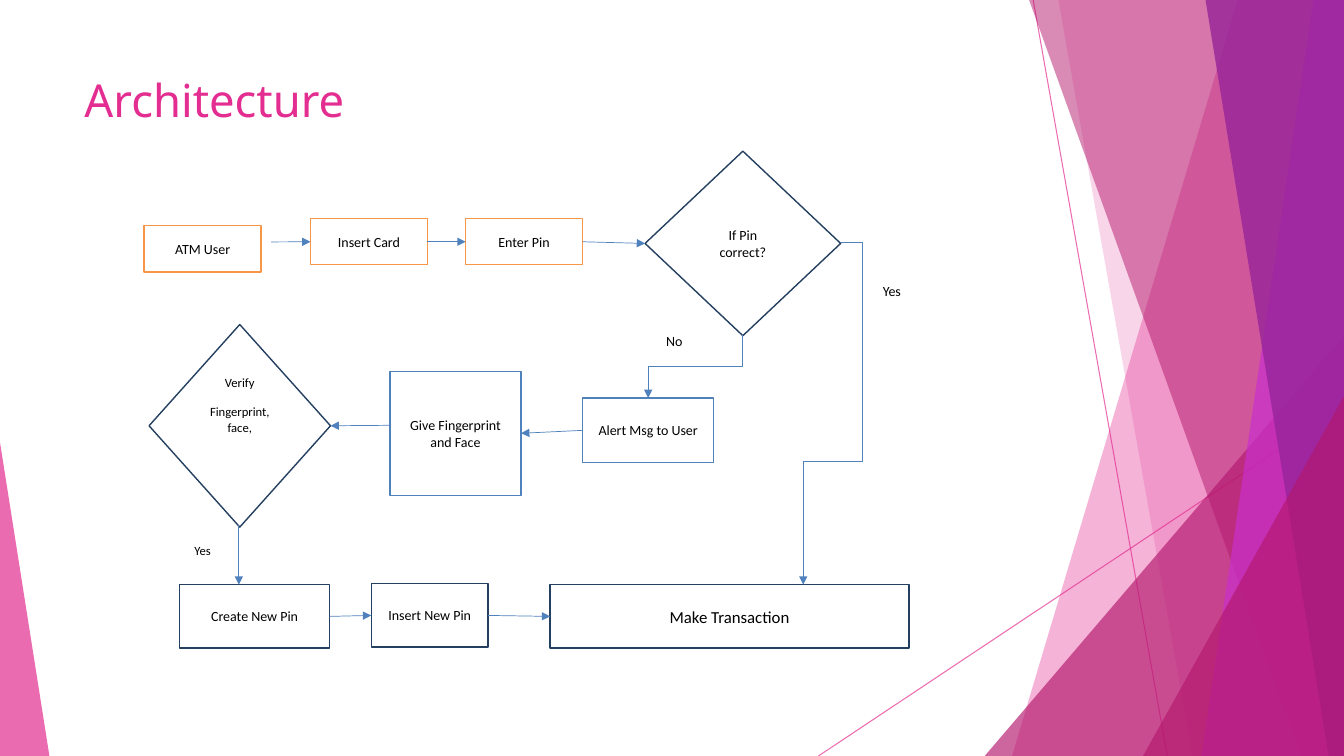
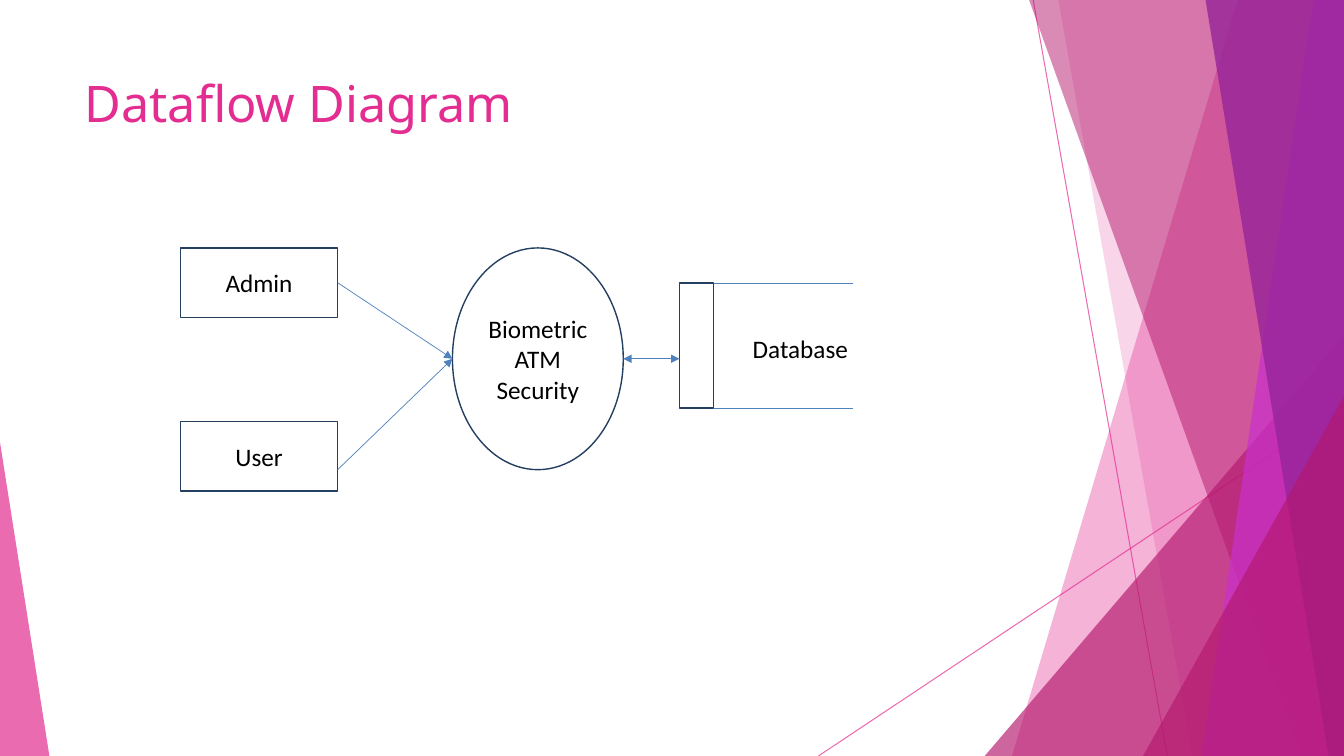
from dataclasses import dataclass
from typing import NamedTuple, Optional, Union

from lxml import etree
from pptx import Presentation
from pptx import slide as sl
from pptx import util as u
from pptx.dml import color as c
from pptx.enum import shapes, text
from pptx.oxml import ns
from pptx.shapes import base, connector as cx

KIND = shapes.MSO_SHAPE
WIDTH, HEIGHT = 960, 540
TOP, LEFT, BOTTOM, RIGHT = range(4)


@dataclass(frozen=True)
class Theme:
    pink: str = "E32D91"
    berry: str = "B4186E"
    orchid: str = "C830CC"
    purple: str = "962499"
    navy: str = "243F60"
    blue: str = "4F81BD"
    orange: str = "F79646"
    white: str = "FFFFFF"
    black: str = "000000"
    title_font: str = "Noto Sans"
    body_font: str = "Calibri"
    title_size: float = 36
    small_title_size: float = 32.4
    large: float = 18
    medium: float = 12
    normal: float = 10
    small: float = 9
    outline: float = 1
    arrow: float = 0.5
    hairline: float = 0.75
    space_after: float = 10


THEME = Theme()


class Point(NamedTuple):
    x: float
    y: float


class Port(NamedTuple):
    """The middle of one side of a named node."""
    node: str
    side: int


End = Union[Point, Port]


class Box(NamedTuple):
    left: float
    top: float
    width: float
    height: float


class Facet(NamedTuple):
    """A band from the top edge to the bottom edge, filled to the right edge."""
    top_x: float
    bottom_x: float
    color: str
    opacity: int


class Corner(NamedTuple):
    """A right-angled triangle standing on the bottom edge."""
    left: float
    top: float
    width: float
    apex: int
    color: str
    opacity: int


@dataclass(frozen=True)
class Node:
    label: str
    box: Box
    line: str = THEME.navy
    kind: KIND = KIND.RECTANGLE
    size: float = THEME.normal
    filled: bool = False
    anchor: text.MSO_ANCHOR = text.MSO_ANCHOR.MIDDLE


class Label(NamedTuple):
    label: str
    box: Box
    size: float = THEME.normal


class Link(NamedTuple):
    begin: End
    end: End
    heads: tuple[str, ...] = ("tailEnd",)


DECORATION = (
    Facet(884.2, 722.9, THEME.pink, 36),
    Facet(756, 851.8, THEME.pink, 20),
    Corner(703.4, 239.8, 256.6, 1, THEME.berry, 66),
    Facet(735.1, 929.5, THEME.berry, 50),
    Facet(938.2, 858.2, THEME.orchid, 70),
    Facet(861.1, 949, THEME.purple, 80),
    Corner(816.5, 283, 143.5, 1, THEME.berry, 66),
    Corner(0, 316, 35.3, 0, THEME.pink, 70),
)
RAYS = (
    Link(Point(738, 0), Point(833.8, HEIGHT), ()),
    Link(Point(WIDTH, 290.2), Point(584.6, HEIGHT), ()),
)

ARCHITECTURE_NODES = (
    Node("If Pin correct?", Box(460.8, 108, 139.7, 131.8), kind=KIND.DIAMOND, filled=True),
    Node("ATM User", Box(103, 161.3, 83.5, 33), THEME.orange, filled=True),
    Node("Insert Card", Box(221.8, 156.2, 83.5, 33), THEME.orange, filled=True),
    Node("Enter Pin", Box(332.6, 156.2, 83.5, 33), THEME.orange, filled=True),
    Node("Alert Msg to User", Box(416.2, 284.4, 93.6, 46), THEME.blue),
    Node("Give Fingerprint and Face", Box(278.6, 265.2, 93.6, 88.6), THEME.blue),
    Node("Verify\nFingerprint, face,", Box(106.5, 231.8, 129.6, 144.7), kind=KIND.DIAMOND,
         size=THEME.small, filled=True, anchor=text.MSO_ANCHOR.TOP),
    Node("Make Transaction", Box(393, 417.6, 256.3, 45.4), size=THEME.medium),
    Node("Create New Pin", Box(128.2, 417.6, 107.3, 45.4)),
    Node("Insert New Pin", Box(265.2, 416.9, 83.5, 45.4)),
)
ARCHITECTURE_LINKS = (
    Link(Point(193.7, 172.8), Port("Insert Card", LEFT)),
    Link(Port("Insert Card", RIGHT), Port("Enter Pin", LEFT)),
    Link(Port("Enter Pin", RIGHT), Port("If Pin correct?", LEFT)),
    Link(Port("Alert Msg to User", LEFT), Port("Give Fingerprint and Face", RIGHT)),
    Link(Point(278.6, 303.8), Port("Verify\nFingerprint, face,", RIGHT)),
    Link(Point(170.6, 375.1), Point(170.6, 417.6)),
    Link(Port("Create New Pin", RIGHT), Port("Insert New Pin", LEFT)),
    Link(Port("Insert New Pin", RIGHT), Port("Make Transaction", LEFT)),
)
ARCHITECTURE_LABELS = (
    Label("Yes", Box(623.5, 198, 41, 31.7)),
    Label("Yes", Box(131.8, 384.5, 41, 31.7), THEME.small),
    Label("No", Box(468.7, 234, 41, 31.7)),
)

DATAFLOW_NODES = (
    Node("Admin", Box(128.9, 177.1, 112.3, 49.7), size=THEME.large, filled=True),
    Node("User", Box(128.9, 301, 112.3, 49.7), size=THEME.large, filled=True),
    Node("Biometric ATM Security", Box(323.2, 177.1, 122, 158.4), kind=KIND.OVAL,
         size=THEME.large),
    Node("", Box(485.3, 202.3, 24.5, 89.3)),
)
DATAFLOW_LINKS = (
    Link(Port("Admin", RIGHT), Point(323.2, 256.3)),
    Link(Point(241.2, 335.5), Point(323.2, 256.3)),
    Link(Point(509.8, 202.3), Point(609.1, 202.3), ()),
    Link(Point(509.8, 291.6), Point(609.1, 291.6), ()),
    Link(Point(445.2, 256.3), Point(485.3, 256.3), ("headEnd", "tailEnd")),
)
DATAFLOW_LABELS = (Label("Database", Box(530.6, 234.7, 85.7, 38.9), THEME.large),)


def points(values: tuple[float, ...]) -> list[u.Length]:
    return [u.Pt(value) for value in values]


def rgb(color: str) -> c.RGBColor:
    return c.RGBColor.from_string(color)


def set_opacity(shape: base.BaseShape, percent: int) -> None:
    for color in shape._element.spPr.iter(ns.qn("a:srgbClr")):
        etree.SubElement(color, ns.qn("a:alpha"), val=str(percent * 1000))


def write(shape: base.BaseShape, content: str, size: float, color: str = THEME.black,
          font: str = THEME.body_font, align: text.PP_ALIGN = text.PP_ALIGN.LEFT) -> None:
    frame = shape.text_frame
    frame.word_wrap = True
    frame.text = content
    for paragraph in frame.paragraphs:
        paragraph.alignment = align
        paragraph.space_after = u.Pt(THEME.space_after)
        for run in paragraph.runs:
            run.font.size = u.Pt(size)
            run.font.name = font
            run.font.color.rgb = rgb(color)


def draw_label(slide: sl.Slide, label: Label) -> None:
    write(slide.shapes.add_textbox(*points(label.box)), label.label, label.size)


def draw_node(slide: sl.Slide, node: Node) -> base.BaseShape:
    shape = slide.shapes.add_shape(node.kind, *points(node.box))
    shape.shadow.inherit = False
    if node.filled:
        shape.fill.solid()
        shape.fill.fore_color.rgb = rgb(THEME.white)
    else:
        shape.fill.background()
    shape.line.color.rgb = rgb(node.line)
    shape.line.width = u.Pt(THEME.outline)
    if node.label:
        write(shape, node.label, node.size, align=text.PP_ALIGN.CENTER)
        shape.text_frame.vertical_anchor = node.anchor
        if node.anchor == text.MSO_ANCHOR.TOP:
            shape.text_frame.margin_top = 0
    return shape


def style_line(connector: cx.Connector, color: str, width: float,
               heads: tuple[str, ...]) -> None:
    connector.line.color.rgb = rgb(color)
    connector.line.width = u.Pt(width)
    line = connector._element.spPr.find(ns.qn("a:ln"))
    for head in heads:
        etree.SubElement(line, ns.qn(f"a:{head}"), type="triangle")
    etree.SubElement(connector._element.spPr, ns.qn("a:effectLst"))


def draw_link(slide: sl.Slide, link: Link, nodes: Optional[dict[str, base.BaseShape]] = None,
              color: str = THEME.blue, width: float = THEME.arrow) -> cx.Connector:
    ends = [end if isinstance(end, Point) else Point(0, 0) for end in (link.begin, link.end)]
    connector = slide.shapes.add_connector(
        shapes.MSO_CONNECTOR.STRAIGHT, *points(ends[0] + ends[1]))
    if isinstance(link.begin, Port):
        connector.begin_connect(nodes[link.begin.node], link.begin.side)
    if isinstance(link.end, Port):
        connector.end_connect(nodes[link.end.node], link.end.side)
    style_line(connector, color, width, link.heads)
    return connector


def draw_elbow(slide: sl.Slide, begin: Point, end: Point, quarter_turn: bool = False,
               preset: str = "bentConnector3", bends: tuple[float, ...] = (0.5,)) -> None:
    """Draw a bent arrow; a quarter turn makes it leave downwards and go left."""
    if quarter_turn:
        across, down = begin.x - end.x, end.y - begin.y
        middle = Point((begin.x + end.x) / 2, (begin.y + end.y) / 2)
        begin = Point(middle.x - down / 2, middle.y - across / 2)
        end = Point(begin.x + down, begin.y + across)
    connector = slide.shapes.add_connector(shapes.MSO_CONNECTOR.ELBOW, *points(begin + end))
    connector.rotation = 90 if quarter_turn else 0
    geometry = connector._element.spPr.find(ns.qn("a:prstGeom"))
    geometry.set("prst", preset)
    guides = geometry.find(ns.qn("a:avLst"))
    for number, bend in enumerate(bends, 1):
        etree.SubElement(guides, ns.qn("a:gd"), name=f"adj{number}",
                         fmla=f"val {round(bend * 100000)}")
    style_line(connector, THEME.blue, THEME.arrow, ("tailEnd",))


def draw_decoration(slide: sl.Slide) -> None:
    for ray in RAYS:
        set_opacity(draw_link(slide, ray, color=THEME.pink, width=THEME.hairline), 70)
    for part in DECORATION:
        if isinstance(part, Facet):
            builder = slide.shapes.build_freeform(u.Pt(part.top_x), 0)
            corners = ((WIDTH, 0), (WIDTH, HEIGHT), (part.bottom_x, HEIGHT))
            builder.add_line_segments([points(corner) for corner in corners])
            shape = builder.convert_to_shape()
        else:
            shape = slide.shapes.add_shape(KIND.ISOSCELES_TRIANGLE, *points(
                (part.left, part.top, part.width, HEIGHT - part.top)))
            shape.adjustments[0] = part.apex
        shape.shadow.inherit = False
        shape.fill.solid()
        shape.fill.fore_color.rgb = rgb(part.color)
        shape.line.fill.background()
        set_opacity(shape, part.opacity)


def add_diagram(presentation, title: str, title_size: float, title_height: float,
                nodes: tuple[Node, ...], links: tuple[Link, ...],
                labels: tuple[Label, ...]) -> sl.Slide:
    slide = presentation.slides.add_slide(presentation.slide_layouts[6])
    draw_decoration(slide)
    heading = slide.shapes.add_textbox(*points((53.3, 48.2, 676.8, title_height)))
    write(heading, title, title_size, THEME.pink, THEME.title_font)
    drawn = {node.label: draw_node(slide, node) for node in nodes}
    for link in links:
        draw_link(slide, link, drawn)
    for label in labels:
        draw_label(slide, label)
    return slide


def main() -> None:
    presentation = Presentation()
    presentation.slide_width, presentation.slide_height = points((WIDTH, HEIGHT))
    architecture = add_diagram(presentation, "Architecture", THEME.small_title_size, 49.7,
                               ARCHITECTURE_NODES, ARCHITECTURE_LINKS, ARCHITECTURE_LABELS)
    draw_elbow(architecture, Point(600.5, 172.8), Point(573.8, 417.6),
               preset="bentConnector4", bends=(-0.57, 0.64))
    draw_elbow(architecture, Point(530.6, 239), Point(463, 284.4), quarter_turn=True)
    add_diagram(presentation, "Dataflow Diagram", THEME.title_size, 69.1,
                DATAFLOW_NODES, DATAFLOW_LINKS, DATAFLOW_LABELS)
    presentation.save("out.pptx")


if __name__ == "__main__":
    main()
